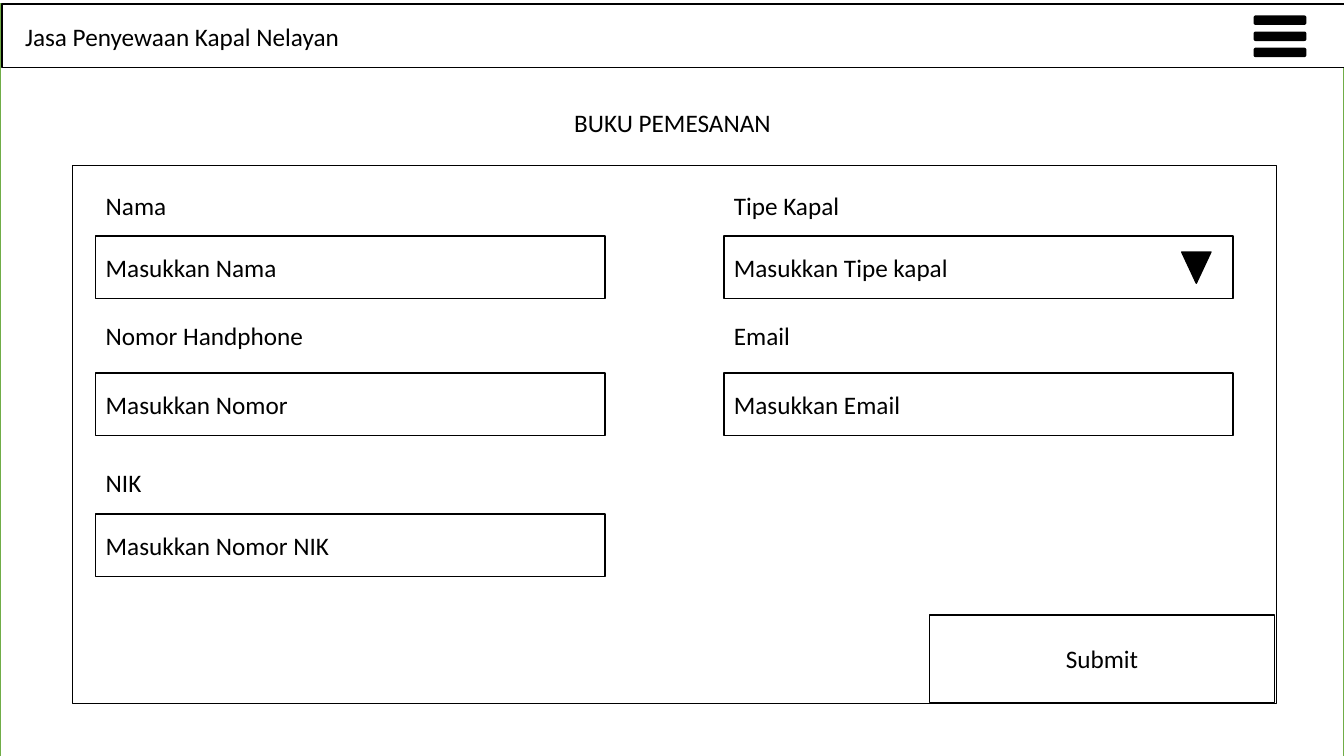
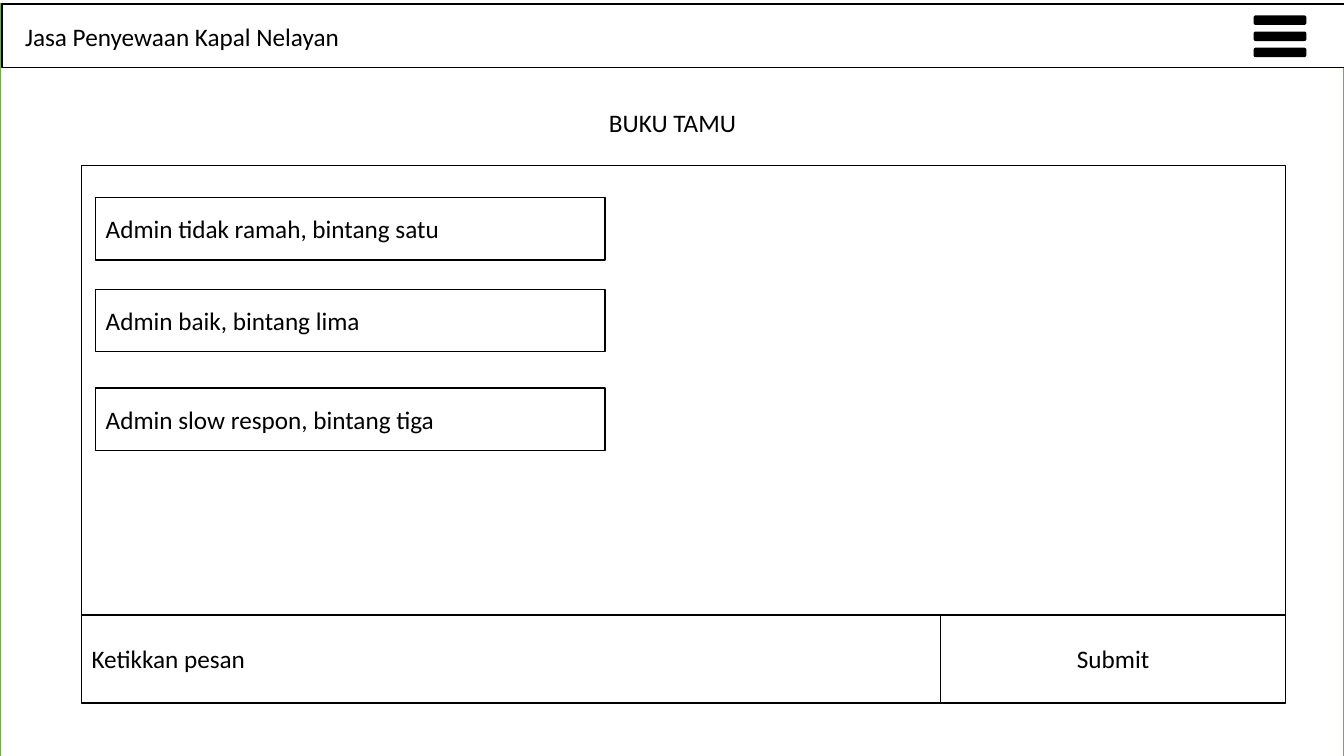
from pptx import Presentation
from pptx.dml.color import RGBColor
from pptx.enum.shapes import MSO_SHAPE
from pptx.enum.text import MSO_ANCHOR, MSO_AUTO_SIZE, PP_ALIGN
from pptx.util import Inches, Pt

# Shared look
BLACK = RGBColor(0, 0, 0)
WHITE = RGBColor(255, 255, 255)
GREEN = RGBColor(0x70, 0xAD, 0x47)
FONT = "Calibri"
SIZE = Pt(18)
RECT = MSO_SHAPE.RECTANGLE
ROUND = MSO_SHAPE.ROUNDED_RECTANGLE
MERGE = MSO_SHAPE.FLOWCHART_MERGE
LEFT, CENTER = PP_ALIGN.LEFT, PP_ALIGN.CENTER
TOP, MIDDLE = MSO_ANCHOR.TOP, MSO_ANCHOR.MIDDLE
FIXED, GROW = MSO_AUTO_SIZE.NONE, MSO_AUTO_SIZE.SHAPE_TO_FIT_TEXT

# Shared grid, in inches
COLS = (0.95, 7.18)
FIELD_W, FIELD_H = 5.05, 0.62
LABEL_W, LABEL_H = 3.15, 0.4
PANEL_TOP, PANEL_W, PANEL_H = 1.64, 11.94, 5.34
FOOT_TOP, FOOT_H = 6.1, 0.87
SEND_W = 3.42


def write(shape, text, align=LEFT, anchor=TOP, fit=FIXED):
    """Put formatted text into a shape."""
    frame = shape.text_frame
    frame.text = text
    frame.word_wrap = True
    frame.auto_size = fit
    frame.vertical_anchor = anchor
    para = frame.paragraphs[0]
    para.alignment = align
    font = para.runs[0].font
    font.name, font.size = FONT, SIZE
    font.color.rgb = BLACK


def box(slide, x, y, w, h, text="", kind=RECT, fill=WHITE, line=BLACK,
        align=LEFT):
    """Draw an outlined shape, with text if given."""
    shape = slide.shapes.add_shape(
        kind, Inches(x), Inches(y), Inches(w), Inches(h))
    shape.shadow.inherit = False
    shape.fill.solid()
    shape.fill.fore_color.rgb = fill
    shape.line.color.rgb = line
    shape.line.width = Pt(1)
    if text:
        write(shape, text, align=align, anchor=MIDDLE)


def label(slide, x, y, text, w=LABEL_W):
    area = slide.shapes.add_textbox(
        Inches(x), Inches(y), Inches(w), Inches(LABEL_H))
    write(area, text, fit=GROW)


def field(slide, x, y, text):
    box(slide, x, y, FIELD_W, FIELD_H, text)


def send(slide, x):
    box(slide, x, FOOT_TOP, SEND_W, FOOT_H, "Submit", align=CENTER)


def heading(slide, text):
    """Place the title above the page background."""
    title = slide.shapes.title
    title.left, title.top = Inches(1.33), Inches(1.01)
    title.width, title.height = Inches(10.68), Inches(0.4)
    write(title, text, align=CENTER)
    title.element.getparent().append(title.element)


def page(deck, title, left):
    """Start a slide with its top bar, menu icon, title and panel."""
    slide = deck.slides.add_slide(deck.slide_layouts[5])
    box(slide, 0, 0.04, 13.33, 7.5, line=GREEN)
    box(slide, 0.02, 0.04, 13.33, 0.63)
    label(slide, 0.15, 0.16, "Jasa Penyewaan Kapal Nelayan", w=3.95)
    for row in range(3):
        box(slide, 12.44, 0.16 * (row + 1), 0.51, 0.08, kind=ROUND, fill=BLACK)
    heading(slide, title)
    box(slide, left, PANEL_TOP, PANEL_W, PANEL_H)
    return slide


def order(deck):
    """Booking form."""
    slide = page(deck, "BUKU PEMESANAN", 0.72)
    rows = (
        (1.84, 2.34, (("Nama", "Masukkan Nama"),
                      ("Tipe Kapal", "Masukkan Tipe kapal"))),
        (3.13, 3.7, (("Nomor Handphone", "Masukkan Nomor"),
                     ("Email", "Masukkan Email"))),
        (4.59, 5.1, (("NIK", "Masukkan Nomor NIK"),)),
    )
    for name_y, field_y, cells in rows:
        for x, (name, hint) in zip(COLS, cells):
            label(slide, x, name_y, name)
            field(slide, x, field_y, hint)
    # Drop-down arrow
    box(slide, 11.72, 2.5, 0.29, 0.31, kind=MERGE, fill=BLACK)
    send(slide, 9.22)


def guests(deck):
    """Guest book with a message bar."""
    left = 0.81
    slide = page(deck, "BUKU TAMU", left)
    notes = (
        (1.96, "Admin tidak ramah, bintang satu"),
        (2.87, "Admin baik, bintang lima"),
        (3.85, "Admin slow respon, bintang tiga"),
    )
    for y, text in notes:
        field(slide, COLS[0], y, text)
    box(slide, left, FOOT_TOP, PANEL_W, FOOT_H, "Ketikkan pesan")
    send(slide, left + PANEL_W - SEND_W)


def main():
    deck = Presentation()
    deck.slide_width, deck.slide_height = Inches(13.33), Inches(7.5)
    order(deck)
    guests(deck)
    deck.save("out.pptx")


main()
